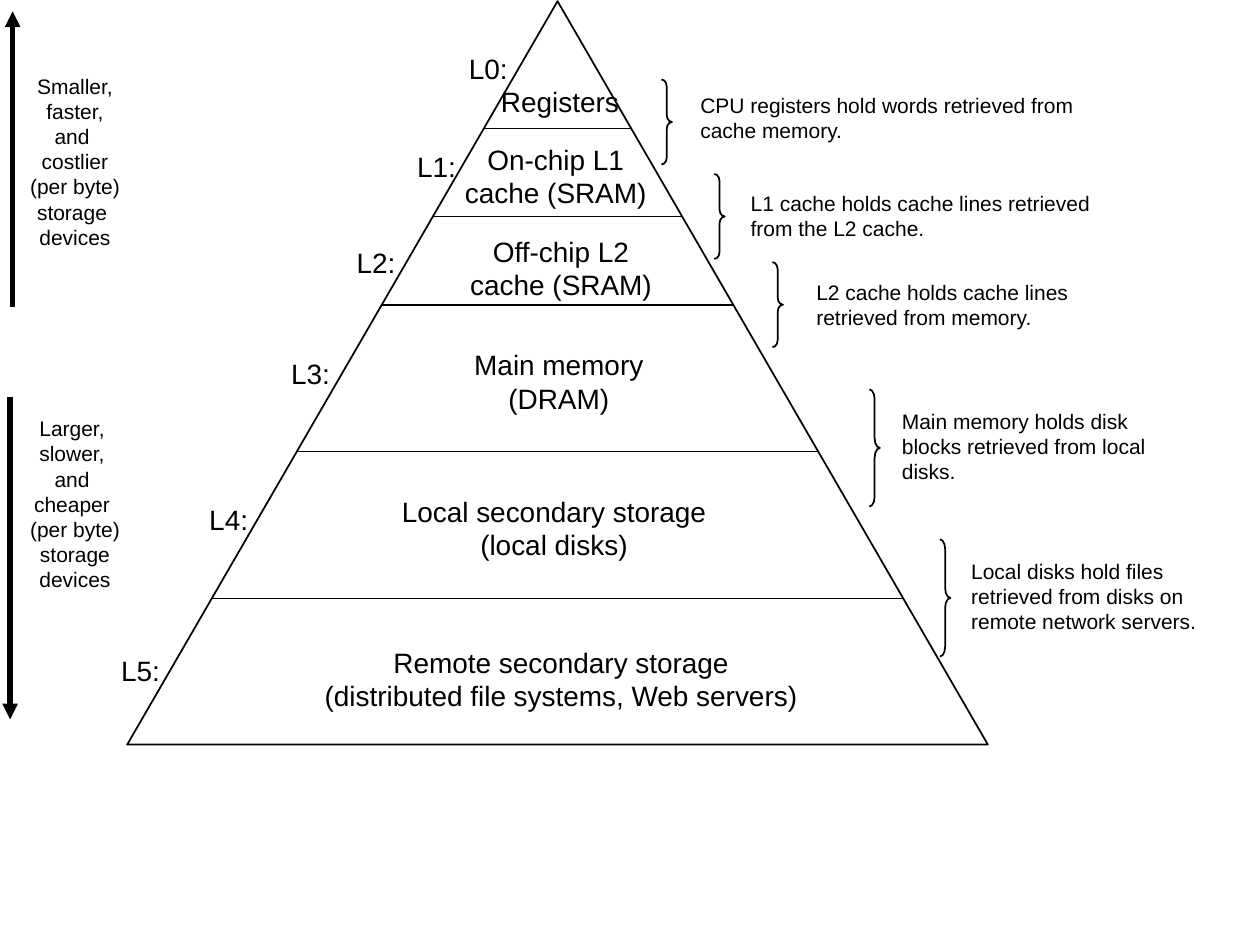
import pptx
import pptx.util
import pptx.dml.color
import pptx.enum.shapes
import pptx.enum.text
import pptx.oxml.ns
from lxml import etree

Pt = pptx.util.Pt
SHAPE = pptx.enum.shapes.MSO_SHAPE
ALIGN = pptx.enum.text.PP_ALIGN
BLACK = pptx.dml.color.RGBColor(0, 0, 0)

LINE_FACTOR = 1.2
INSET_Y = 3.6
BRACE_WIDTH = 6

TIERS = [
    ("L0:", (188, 25.2), "Registers", (1.4, 43.9, 88), 72.7),
    ("L1:", (158.4, 81.4), "On-chip L1\ncache (SRAM)", (-1, 77, 124), 123.1),
    ("L2:", (123.8, 136), "Off-chip L2\ncache (SRAM)", (2, 129.6, 124), 173.5),
    ("L3:", (86.4, 199.4), "Main memory\n(DRAM)", (0.7, 194.4, 118), 257.3),
    ("L4:", (39.6, 283), "Local secondary storage\n(local disks)", (-2, 278, 196), 341.3),
    ("L5:", (-10.8, 369.4), "Remote secondary storage\n(distributed file systems, Web servers)",
     (2, 364.3, 292), None),
]

NOTES = [
    ("CPU registers hold words retrieved from cache memory.", 2,
     (378, 45.4, 48.6), (15.1, 3.6, 229.7)),
    ("L1 cache holds cache lines retrieved from the L2 cache.", 2,
     (408.2, 99.4, 48.6), (13.7, 5.8, 223.2)),
    ("L2 cache holds cache lines retrieved from memory.", 2,
     (441.4, 149.8, 48.6), (18, 6.5, 206.6)),
    ("Main memory holds disk\nblocks retrieved from local\ndisks.", 3,
     (496.8, 222.5, 67), (11.5, 7.2, 218.2)),
    ("Local disks hold files retrieved from disks on remote network servers.", 3,
     (537.1, 308.2, 67), (10.8, 7.2, 162.7)),
]


def add_text(slide, text, *, left, top, width, lines, size=16, align=ALIGN.CENTER, wrap=False):
    height = lines * size * LINE_FACTOR + 2 * INSET_Y
    frame = slide.shapes.add_textbox(Pt(left), Pt(top), Pt(width), Pt(height)).text_frame
    frame.word_wrap = wrap
    frame.auto_size = pptx.enum.text.MSO_AUTO_SIZE.SHAPE_TO_FIT_TEXT
    frame.vertical_anchor = pptx.enum.text.MSO_ANCHOR.MIDDLE
    frame.text = text
    for paragraph in frame.paragraphs:
        paragraph.alignment = align
        for run in paragraph.runs:
            run.font.name = "Arial"
            run.font.size = Pt(size)
            run.font.color.rgb = BLACK


def add_outline(slide, preset, left, top, width, height):
    outline = slide.shapes.add_shape(preset, Pt(left), Pt(top), Pt(width), Pt(height))
    outline.shadow.inherit = False
    outline.fill.background()
    outline.line.color.rgb = BLACK
    outline.line.width = Pt(1)
    return outline


def add_line(slide, start, end, weight=1, arrow=False):
    line = slide.shapes.add_connector(
        pptx.enum.shapes.MSO_CONNECTOR.STRAIGHT, *(Pt(v) for v in (*start, *end)))
    line.line.color.rgb = BLACK
    line.line.width = Pt(weight)
    if arrow:
        etree.SubElement(line.line._get_or_add_ln(), pptx.oxml.ns.qn("a:tailEnd"), type="triangle")
    etree.SubElement(line._element.spPr, pptx.oxml.ns.qn("a:effectLst"))


def add_pyramid(slide, left, top, width, height):
    add_outline(slide, SHAPE.ISOSCELES_TRIANGLE, left, top, width, height)
    apex = left + width / 2
    for level, (level_x, level_y), label, (shift, label_y, label_width), floor in TIERS:
        add_text(slide, level, left=left + level_x, top=top + level_y, width=36.7, lines=1)
        add_text(slide, label, left=apex + shift - label_width / 2, top=top + label_y,
                 width=label_width, lines=label.count("\n") + 1)
        if floor:
            half = width / 2 * floor / height
            add_line(slide, (apex - half, top + floor), (apex + half, top + floor))


def add_note(slide, text, lines, left, top, height, offset):
    brace = add_outline(slide, SHAPE.RIGHT_BRACE, left, top, BRACE_WIDTH, height)
    brace.adjustments[0] = height / 12 / BRACE_WIDTH
    text_x, text_y, text_width = offset
    add_text(slide, text, left=left + text_x, top=top + text_y, width=text_width,
             lines=lines, size=12, align=ALIGN.LEFT, wrap=True)


def add_trend(slide, traits, left, top, height, text_x, text_y, upward):
    ends = [(left, top), (left, top + height)]
    if upward:
        ends.reverse()
    add_line(slide, *ends, weight=3, arrow=True)
    add_text(slide, traits, left=left + text_x, top=top + text_y, width=65.5, lines=7, size=12)


def main():
    deck = pptx.Presentation()
    deck.slide_width, deck.slide_height = Pt(720), Pt(540)
    slide = deck.slides.add_slide(deck.slide_layouts[6])
    add_pyramid(slide, 72.7, 0.7, 491.8, 424.8)
    for text, lines, brace_box, offset in NOTES:
        add_note(slide, text, lines, *brace_box, offset)
    add_trend(slide, "Smaller,\nfaster,\nand \ncostlier\n(per byte)\nstorage \ndevices",
              7.2, 6.5, 169.2, 2.9, 31.7, upward=True)
    add_trend(slide, "Larger, \nslower, \nand \ncheaper \n(per byte)\nstorage\ndevices",
              5.8, 226.8, 184.3, 4.3, 7.2, upward=False)
    deck.save("out.pptx")


if __name__ == "__main__":
    main()
